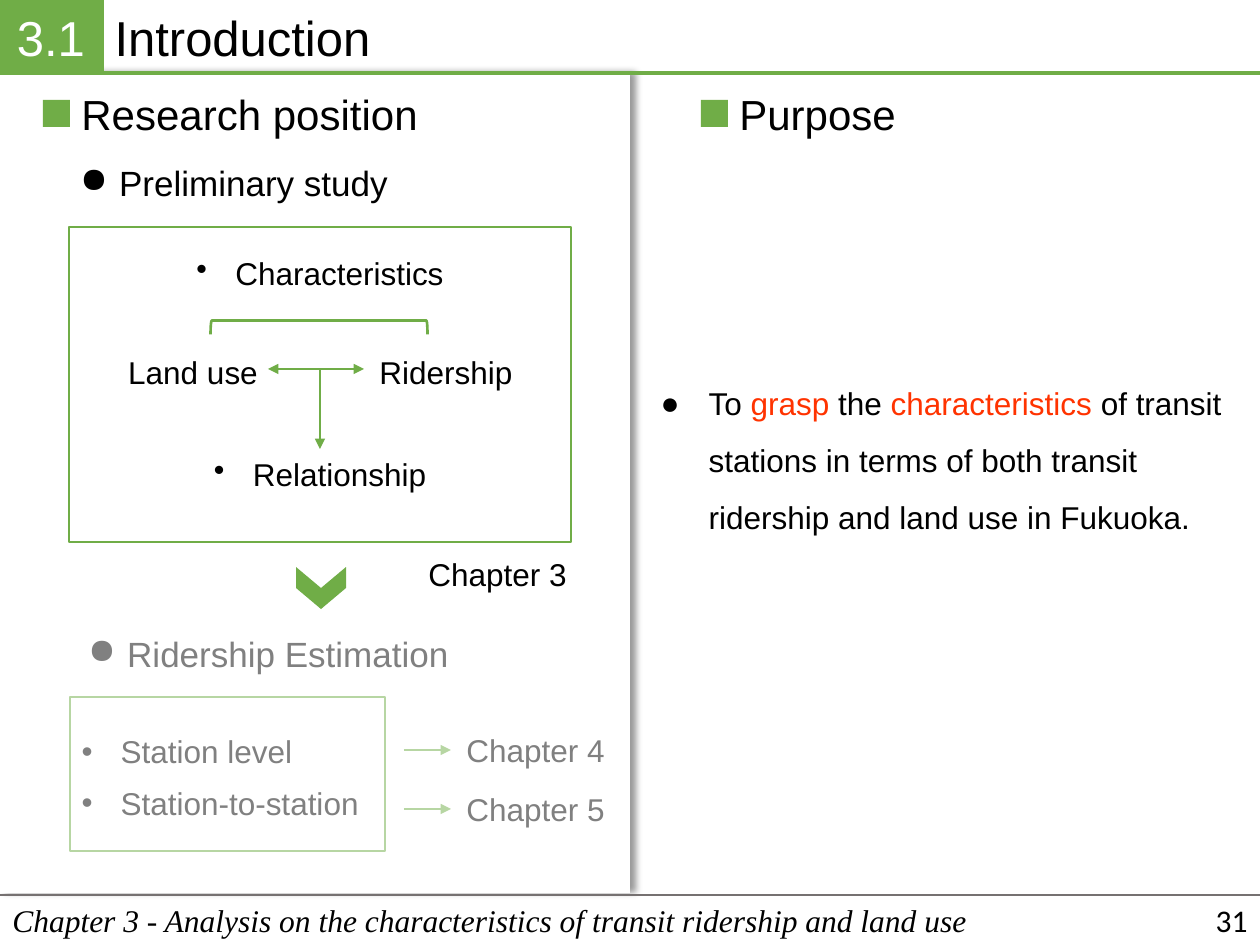
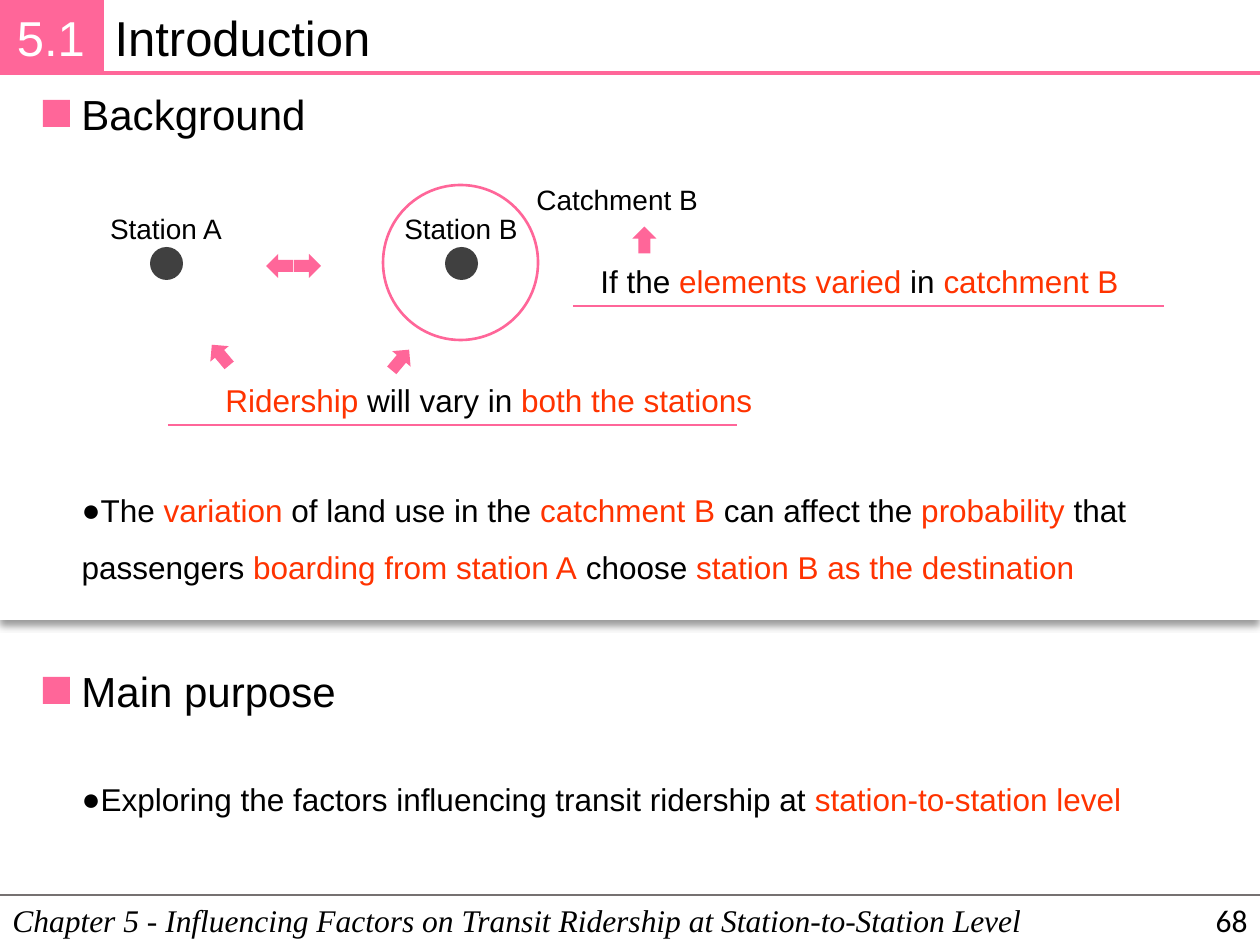
from lxml.etree import SubElement
from pptx import Presentation
from pptx.dml.color import RGBColor
from pptx.enum.shapes import MSO_CONNECTOR, MSO_SHAPE
from pptx.enum.text import MSO_ANCHOR, MSO_AUTO_SIZE, PP_ALIGN
from pptx.oxml.ns import qn
from pptx.util import Emu, Pt

HUES = {
    "green": "70AD47", "pink": "FF6699", "red": "FF3300", "black": "000000",
    "white": "FFFFFF", "gray": "767171", "dot": "404040",
}
WIDTH, HEIGHT = 1260, 945
LEFT, MID, RIGHT = PP_ALIGN.LEFT, PP_ALIGN.CENTER, PP_ALIGN.RIGHT


def px(num):
    return Emu(round(num * 914400 / 126))


def rgb(hue):
    return RGBColor.from_string(HUES[hue])


def bullet(par, char, hang, margin):
    props = par._p.get_or_add_pPr()
    props.set("marL", str(px(margin)))
    props.set("indent", str(-px(hang)))
    SubElement(props, qn("a:buChar")).set("char", char)


def write(par, text, size, hue="black", font="Arial", align=LEFT):
    """Fill a paragraph; parts between asterisks turn red."""
    par.alignment = align
    par.font.size, par.font.name = Pt(size), font
    par.font.color.rgb = rgb(hue)
    for num, part in enumerate(text.split("*")):
        if part:
            run = par.add_run()
            run.text = part
            if num % 2:
                run.font.color.rgb = rgb("red")


def label(slide, box, text, size=18, align=LEFT, mark=None, hang=39, **style):
    frame = slide.shapes.add_textbox(*map(px, box)).text_frame
    frame.word_wrap = True
    par = frame.paragraphs[0]
    if mark:
        bullet(par, mark, hang, hang)
    write(par, text, size, align=align, **style)
    return frame


def place(holder, box):
    """Move a placeholder and return its plain, top-anchored frame."""
    holder.left, holder.top, holder.width, holder.height = map(px, box)
    frame = holder.text_frame
    frame.auto_size = MSO_AUTO_SIZE.NONE
    frame.vertical_anchor = MSO_ANCHOR.TOP
    return frame


def items(holder, box, texts, mark="●", margin=0, hang=39, lead=1.5, gap=0):
    frame = place(holder, box)
    for num, text in enumerate(texts):
        par = frame.add_paragraph() if num else frame.paragraphs[0]
        bullet(par, mark, hang, margin)
        par.line_spacing = lead
        par.space_before = Pt(gap if num else 0)
        write(par, text, 18)


def shape(slide, kind, box, fill=None, line=None, width=1.5, turn=0):
    item = slide.shapes.add_shape(kind, *map(px, box))
    item.shadow.inherit = False
    item.rotation = turn
    if fill:
        item.fill.solid()
        item.fill.fore_color.rgb = rgb(fill)
    else:
        item.fill.background()
    if line:
        item.line.color.rgb = rgb(line)
        item.line.width = Pt(width)
    else:
        item.line.fill.background()
    return item


def rule(slide, ends, hue, width=1.5, heads=()):
    link = slide.shapes.add_connector(MSO_CONNECTOR.STRAIGHT, *map(px, ends))
    link.line.color.rgb = rgb(hue)
    link.line.width = Pt(width)
    for head in heads:
        SubElement(link.get_or_add_ln(), qn("a:" + head)).set("type", "triangle")
    SubElement(link.element.spPr, qn("a:effectLst"))


def panel(slide, box, angle):
    """White sheet behind everything, with its shadow cast at an angle."""
    sheet = shape(slide, MSO_SHAPE.RECTANGLE, box, "white")
    cast = SubElement(sheet.element.spPr.find(qn("a:effectLst")), qn("a:outerShdw"),
                      blurRad=str(Pt(4)), dist=str(Pt(3)), dir=str(angle * 60000),
                      algn="ctr", rotWithShape="0")
    tint = SubElement(cast, qn("a:srgbClr"), val=HUES["black"])
    SubElement(tint, qn("a:alpha"), val="40000")
    slide.shapes.element.insert(2, sheet.element)


def heading(slide, x, y, text, hue):
    shape(slide, MSO_SHAPE.RECTANGLE, (x, y, 27, 27), hue)
    label(slide, (x + 26, y - 18, 400, 63), text, 24)


def frame_page(deck, part, title, footer, page, hue):
    """Add a slide with its title band, footer and page number."""
    slide = deck.slides.add_slide(deck.slide_layouts[3])
    name = place(slide.shapes.title, (102, 1, WIDTH - 102, 72))
    write(name.paragraphs[0], title, 28)
    tag = shape(slide, MSO_SHAPE.RECTANGLE, (0, 0, 102, 73), hue, hue, 2.25)
    frame = tag.text_frame
    frame.margin_left = frame.margin_right = px(8)
    frame.margin_top = frame.margin_bottom = px(8)
    frame.vertical_anchor = MSO_ANCHOR.MIDDLE
    write(frame.paragraphs[0], part, 28, "white", align=MID)
    rule(slide, (102, 73, WIDTH, 73), hue, 2.25)

    foot = label(slide, (0, 895, WIDTH, 50), footer, font="Times New Roman")
    foot.paragraphs[0].font.italic = True
    rule(slide, (0, 895, WIDTH, 895), "gray", 1)
    count = label(slide, (976, 895, 284, 50), page, align=RIGHT, font="Calibri")
    count.vertical_anchor = MSO_ANCHOR.MIDDLE
    return slide


def study(slide, x, y, hue):
    """Preliminary study: boxed diagram and the chevron below it."""
    wide = 502
    label(slide, (x - 26, y - 72, 382, 55), "Preliminary study", 20, MID, "●")
    shape(slide, MSO_SHAPE.RECTANGLE, (x, y, wide, 315), line=hue)
    for text, down in (("Characteristics", 21), ("Relationship", 222)):
        label(slide, (x, y + down, wide, 50), text, align=MID, mark="•")
    for text, over in (("Land use", 0), ("Ridership", 253)):
        label(slide, (x + over, y + 120, 248, 50), text, align=MID)
    shape(slide, MSO_SHAPE.LEFT_BRACKET, (x + 243, y - 8, 14, 217), line=hue, turn=90)
    rule(slide, (x + 199, y + 142, x + 295, y + 142), hue,
         heads=("headEnd", "tailEnd"))
    rule(slide, (x + 251, y + 142, x + 251, y + 222), hue, heads=("tailEnd",))
    shape(slide, MSO_SHAPE.CHEVRON, (x + 231, y + 336, 42, 50), hue, turn=90)
    label(slide, (x + 346, y + 322, 165, 50), "Chapter 3", align=MID)


def estimate(slide, x, y, hue, holder):
    """Ridership estimation, faded by a translucent sheet."""
    label(slide, (x - 27, y - 71, 451, 55), "Ridership Estimation", 20, MID, "●")
    shape(slide, MSO_SHAPE.RECTANGLE, (x, y, 315, 154), line=hue)
    items(holder, (x - 1, y + 29, 315, 101), ("Station level", "Station-to-station"),
          "•", margin=39, lead=1.0, gap=8)
    for num, text in enumerate(("Chapter 4", "Chapter 5")):
        top = y + 28 + 59 * num
        label(slide, (x + 384, top, 170, 50), text)
        rule(slide, (x + 334, top + 25, x + 381, top + 25), hue, heads=("tailEnd",))
    fade = shape(slide, MSO_SHAPE.RECTANGLE, (x - 15, y - 71, 565, 244), "white")
    tint = fade.element.spPr.find(qn("a:solidFill"))[0]
    SubElement(tint, qn("a:alpha"), val="50000")


def station(slide, x, y, text):
    """Dot centred on x with its name above."""
    shape(slide, MSO_SHAPE.OVAL, (x - 16, y, 33, 33), "dot")
    label(slide, (x - 70, y - 42, 140, 47), text, 16, MID)


def note(slide, x, y, text, start, end, hue):
    """Sentence with a line below from start to end, both relative to x."""
    label(slide, (x, y, 605, 50), text)
    rule(slide, (x + start, y + 50, x + end, y + 50), hue)


def scene(slide, x, y, hue):
    """Two stations, the catchment and what varies with it."""
    shape(slide, MSO_SHAPE.OVAL, (x + 287, y + 9, 155, 155), line=hue)
    station(slide, x + 70, y + 71, "Station A")
    station(slide, x + 365, y + 71, "Station B")
    label(slide, (x + 428, y, 195, 47), "Catchment B", 16)
    note(slide, x + 117, y + 199, "*Ridership* will vary in *both the stations*",
         -45, 524, hue)
    note(slide, x + 492, y + 80, "If the *elements varied* in *catchment B*",
         -15, 576, hue)
    arrows = ((170, 78, 180), (198, 78, 0), (291, 172, 310), (111, 167, 230),
              (535, 52, 270))
    for over, down, turn in arrows:
        shape(slide, MSO_SHAPE.RIGHT_ARROW, (x + over, y + down, 27, 24), hue, turn=turn)


def position(deck):
    hue = "green"
    slide = frame_page(
        deck, "3.1", "Introduction",
        "Chapter 3 - Analysis on the characteristics of transit ridership and land use",
        "31", hue)
    panel(slide, (0, 73, 630, 820), 0)
    heading(slide, 43, 100, "Research position", hue)
    heading(slide, 701, 100, "Purpose", hue)
    study(slide, 69, 227, hue)
    estimate(slide, 70, 697, hue, slide.placeholders[1])
    items(slide.placeholders[2], (648, 359, 595, 178),
          ["To *grasp* the *characteristics* of transit stations in terms of both "
           "transit ridership and land use in Fukuoka."], margin=48, hang=48)


def background(deck):
    hue = "pink"
    slide = frame_page(
        deck, "5.1", "Introduction",
        "Chapter 5 - Influencing Factors on Transit Ridership at Station-to-Station Level",
        "68", hue)
    panel(slide, (0, 74, WIDTH, 546), 90)
    heading(slide, 43, 100, "Background", hue)
    heading(slide, 43, 677, "Main purpose", hue)
    scene(slide, 96, 176, hue)
    items(slide.placeholders[1], (69, 466, 1109, 120),
          ["The *variation* of land use in the *catchment B* can affect the "
           "*probability* that passengers *boarding from station A* choose "
           "*station B as the destination*"])
    items(slide.placeholders[2], (69, 755, 1109, 63),
          ["Exploring the factors influencing transit ridership at "
           "*station-to-station level*"])


def main():
    deck = Presentation()
    deck.slide_width, deck.slide_height = px(WIDTH), px(HEIGHT)
    position(deck)
    background(deck)
    deck.save("out.pptx")


if __name__ == "__main__":
    main()
